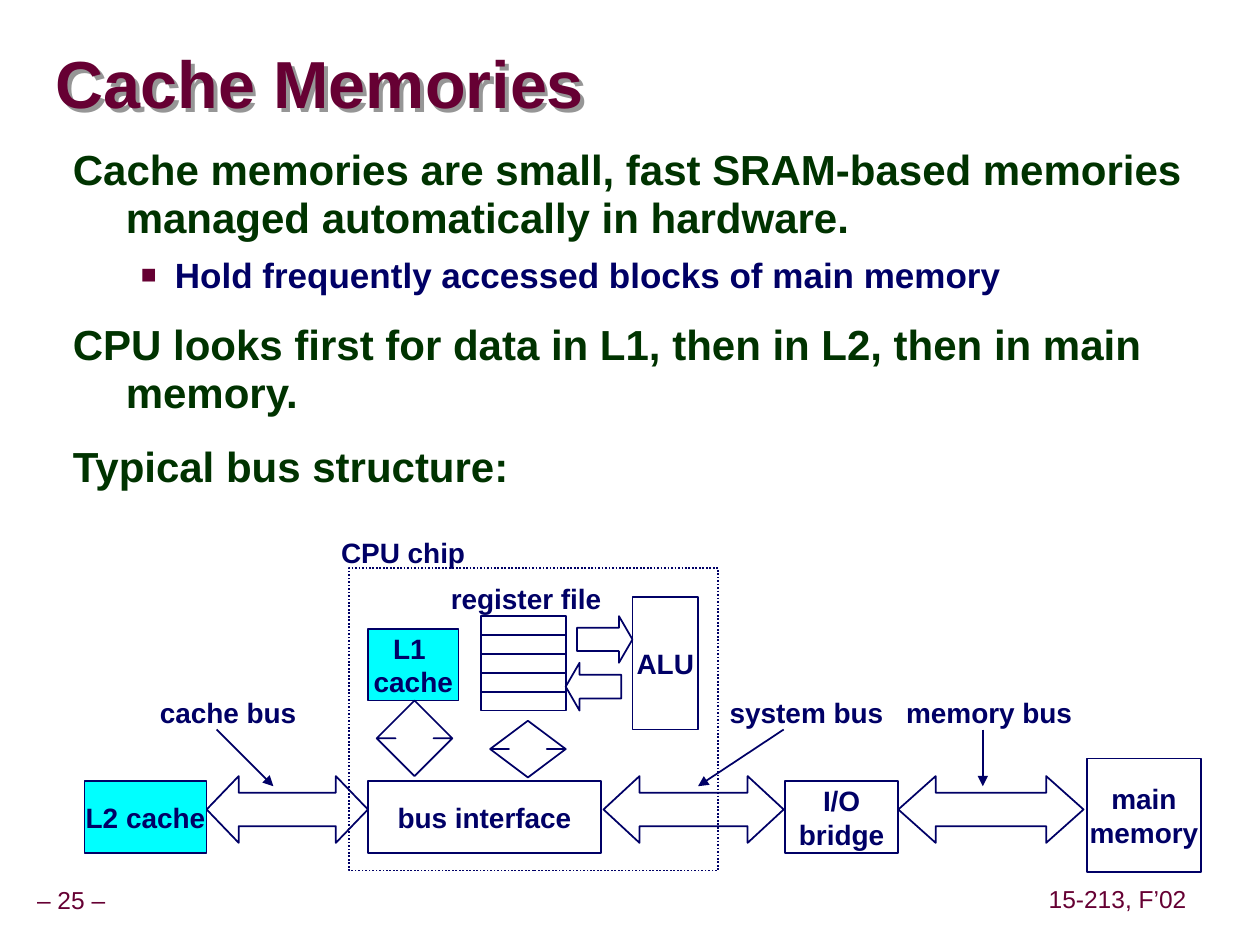
from dataclasses import dataclass

from lxml.etree import SubElement
from pptx import Presentation
from pptx.dml.color import RGBColor
from pptx.enum.dml import MSO_LINE_DASH_STYLE as Dash
from pptx.enum.shapes import MSO_CONNECTOR as Connector, MSO_SHAPE as Shape
from pptx.enum.text import MSO_ANCHOR as Anchor, MSO_AUTO_SIZE as AutoSize, PP_ALIGN as Align
from pptx.oxml import parse_xml
from pptx.oxml.ns import nsdecls, qn
from pptx.util import Inches, Pt


@dataclass(frozen=True)
class Theme:
    """Colours, font and type sizes of the deck."""
    font: str = "Arial"
    maroon: str = "660033"
    green: str = "003300"
    navy: str = "000066"
    cyan: str = "00FFFF"
    shadow: str = "969696"
    title: int = 38
    heading: int = 24
    bullet: int = 20
    label: int = 16
    footer: int = 14


THEME = Theme()


def inches(*lengths):
    """Turn plain numbers into lengths."""
    return [Inches(length) for length in lengths]


def write(para, text, *, size=THEME.label, color=THEME.navy, bold=True,
          align=Align.CENTER, spacing=1.0, before=0):
    """Write one formatted span into a paragraph."""
    para.alignment = align
    para.line_spacing = spacing
    para.space_before = Pt(before)
    span = para.add_run()
    span.text = text
    span.font.name = THEME.font
    span.font.size = Pt(size)
    span.font.bold = bold
    span.font.color.rgb = RGBColor.from_string(color)


def set_frame(frame, margins=(0.1, 0.05), anchor=Anchor.MIDDLE, wrap=False, fit=AutoSize.NONE):
    """Set the margins, anchor and wrapping of a text frame."""
    frame.margin_left = frame.margin_right = Inches(margins[0])
    frame.margin_top = frame.margin_bottom = Inches(margins[1])
    frame.vertical_anchor = anchor
    frame.word_wrap = wrap
    frame.auto_size = fit


def add_title(page, text):
    """Place the title with its shadow."""
    title = page.shapes.title
    title.left, title.top, title.width, title.height = inches(0.44, 0.27, 4.74, 0.85)
    set_frame(title.text_frame, margins=(0, 0), wrap=True)
    write(title.text_frame.paragraphs[0], text, size=THEME.title,
          color=THEME.maroon, align=Align.LEFT, spacing=0.87)
    title._element.spPr.append(parse_xml(
        f'<a:effectLst {nsdecls("a")}><a:outerShdw dist="38100" dir="2700000">'
        f'<a:srgbClr val="{THEME.shadow}"/></a:outerShdw></a:effectLst>'))


def indent(para, left, hanging, mark=None):
    """Give a paragraph a hanging indent and an optional square bullet."""
    props = para._p.get_or_add_pPr()
    props.set("marL", str(Inches(left)))
    props.set("indent", str(-Inches(hanging)))
    if mark:
        color = SubElement(props, qn("a:buClr"))
        SubElement(color, qn("a:srgbClr")).set("val", THEME.maroon)
        SubElement(props, qn("a:buSzPct")).set("val", "75000")
        SubElement(props, qn("a:buFont")).set("typeface", THEME.font)
        SubElement(props, qn("a:buChar")).set("char", mark)
    else:
        SubElement(props, qn("a:buNone"))


def add_body(page, entries):
    """Place the statements and their bullets."""
    frame = page.shapes.add_textbox(*inches(0.48, 1.12, 9.09, 5.71)).text_frame
    set_frame(frame, anchor=Anchor.TOP, wrap=True)
    for index, (level, text) in enumerate(entries):
        para = frame.add_paragraph() if index else frame.paragraphs[0]
        if level:
            para.level = level
            indent(para, 0.81, 0.27, mark="■")
            write(para, text, size=THEME.bullet, align=Align.LEFT, before=6.2)
        else:
            indent(para, 0.42, 0.42)
            write(para, text, size=THEME.heading, color=THEME.green, align=Align.LEFT,
                  spacing=0.95, before=15 if index else 0)


def add_label(page, text, place, **style):
    """Place a one-line label."""
    frame = page.shapes.add_textbox(*inches(*place)).text_frame
    set_frame(frame, margins=(0.05, 0.05))
    write(frame.paragraphs[0], text, **style)


def add_block(page, place, lines=(), kind=Shape.RECTANGLE, fill=None, adjust=(), dash=None):
    """Draw an outlined shape with optional centred lines of text."""
    box = page.shapes.add_shape(kind, *inches(*place))
    box.shadow.inherit = False
    if fill:
        box.fill.solid()
        box.fill.fore_color.rgb = RGBColor.from_string(fill)
    else:
        box.fill.background()
    box.line.color.rgb = RGBColor.from_string(THEME.navy)
    box.line.width = Pt(1)
    if dash:
        box.line.dash_style = dash
    for index, value in enumerate(adjust):
        box.adjustments[index] = value
    set_frame(box.text_frame)
    for index, line in enumerate(lines):
        para = box.text_frame.add_paragraph() if index else box.text_frame.paragraphs[0]
        write(para, line)


def add_pointer(page, start, end):
    """Draw a thin line with an arrowhead at its end."""
    line = page.shapes.add_connector(Connector.STRAIGHT, *inches(*start, *end))
    line.line.color.rgb = RGBColor.from_string(THEME.navy)
    line.line.width = Pt(1)
    SubElement(line.line._get_or_add_ln(), qn("a:tailEnd")).set("type", "triangle")
    SubElement(line._element.spPr, qn("a:effectLst"))


def add_diagram(page):
    """Draw the bus structure around the CPU chip."""
    add_block(page, (8.63, 6.02, 0.9, 0.9), ["main", "memory"])
    add_block(page, (6.23, 6.2, 0.9, 0.57), ["I/O", "bridge"])
    add_block(page, (2.92, 6.2, 1.85, 0.57), ["bus interface"])
    add_block(page, (0.67, 6.2, 0.97, 0.57), ["L2 cache"], fill=THEME.cyan)
    add_block(page, (2.92, 4.99, 0.72, 0.57), ["L1 ", "cache"], fill=THEME.cyan)
    add_block(page, (5.02, 4.74, 0.52, 1.05), ["ALU"])
    for row in range(5):
        add_block(page, (3.82, 4.89 + 0.15 * row, 0.67, 0.15))

    for left, width, head in ((1.64, 1.28, 0.48), (4.79, 1.43, 0.54), (7.13, 1.47, 0.56)):
        add_block(page, (left, 6.16, width, 0.53), kind=Shape.LEFT_RIGHT_ARROW,
                  adjust=(0.5, head))
    for left, top, height in ((2.99, 5.56, 0.6), (3.89, 5.72, 0.45)):
        add_block(page, (left, top, 0.6, height), kind=Shape.UP_DOWN_ARROW, adjust=(0.2, 0.5))
    add_block(page, (4.58, 4.89, 0.44, 0.37), kind=Shape.RIGHT_ARROW, adjust=(0.5, 0.29))
    add_block(page, (4.49, 5.26, 0.44, 0.38), kind=Shape.LEFT_ARROW, adjust=(0.5, 0.29))
    add_block(page, (2.77, 4.51, 2.93, 2.4), dash=Dash.ROUND_DOT)

    for text, left, top, width in (
            ("CPU chip", 2.61, 4.2, 1.18), ("register file", 3.48, 4.56, 1.39),
            ("cache bus", 1.17, 5.47, 1.28), ("system bus", 5.69, 5.47, 1.42),
            ("memory bus", 7.09, 5.47, 1.52)):
        add_label(page, text, (left, top, width, 0.37))
    for start, end in ((1.72, 2.17), (6.22, 5.54), (7.8, 7.8)):
        add_pointer(page, (start, 5.79), (end, 6.24))


def main():
    """Build and save the slide."""
    deck = Presentation()
    deck.slide_width, deck.slide_height = inches(10, 7.5)
    page = deck.slides.add_slide(deck.slide_layouts[5])
    add_title(page, "Cache Memories")
    add_body(page, [
        (0, "Cache memories are small, fast SRAM-based memories managed automatically in hardware."),
        (1, "Hold frequently accessed blocks of main memory"),
        (0, "CPU looks first for data in L1, then in L2, then in main memory."),
        (0, "Typical bus structure:")])
    add_diagram(page)
    for text, place in (("– 25 –", (-0.09, 7, 1.31, 0.31)),
                        ("15-213, F’02", (8.27, 6.99, 1.2, 0.31))):
        add_label(page, text, place, size=THEME.footer,
                  color=THEME.maroon, bold=False, spacing=0.9)
    deck.save("out.pptx")


if __name__ == "__main__":
    main()
